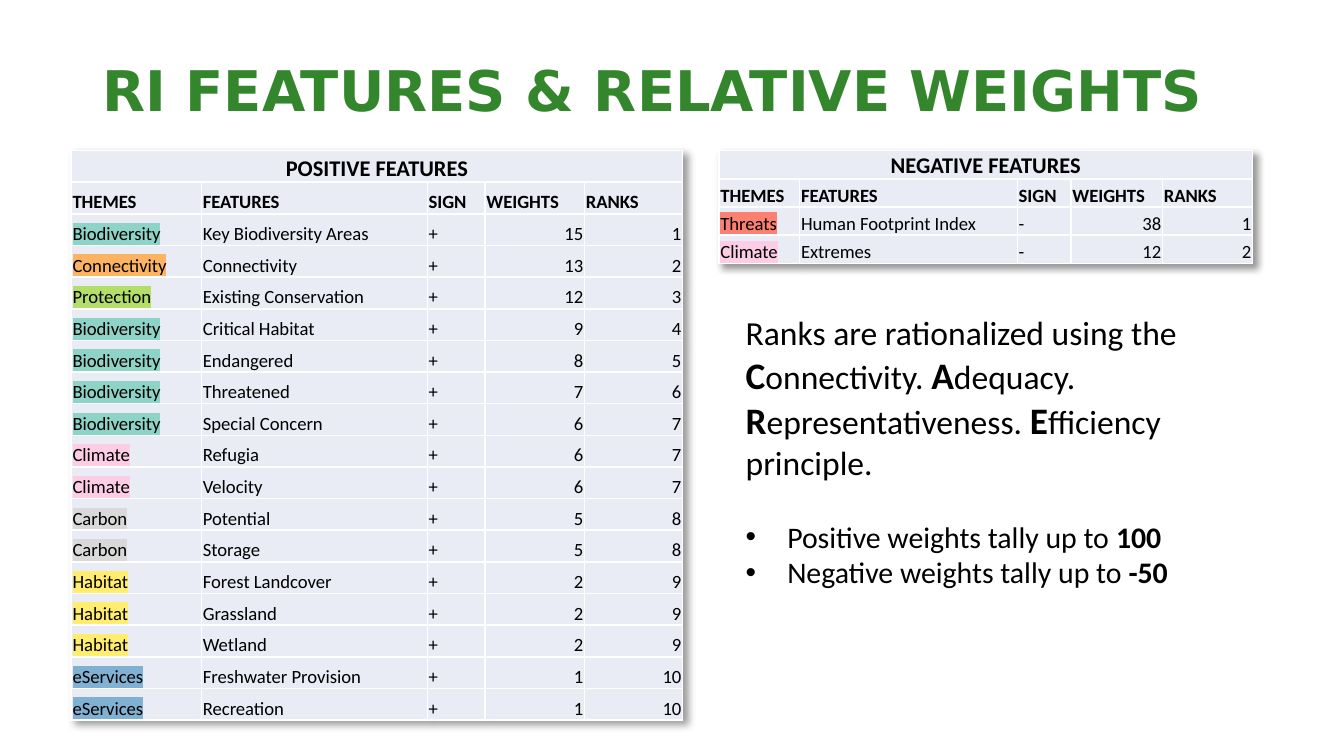
import pptx
import pptx.dml.color
import pptx.enum.text
import pptx.util
from lxml import etree
from pptx.oxml import parse_xml
from pptx.oxml.ns import nsdecls, qn

RGBColor = pptx.dml.color.RGBColor
ALIGN = pptx.enum.text.PP_ALIGN
ANCHOR = pptx.enum.text.MSO_ANCHOR
Inches, Pt = pptx.util.Inches, pptx.util.Pt

SLIDE_W = Inches(10)
SLIDE_H = SLIDE_W * 9 // 16
BLACK = RGBColor(0x00, 0x00, 0x00)
WHITE = RGBColor(0xFF, 0xFF, 0xFF)
GREEN = RGBColor(0x33, 0x86, 0x2B)
CELL_FILL = RGBColor(0xE9, 0xEB, 0xF5)
THEME_COLOURS = {
    "Biodiversity": RGBColor(0x8D, 0xD3, 0xC7),
    "Connectivity": RGBColor(0xFD, 0xB4, 0x62),
    "Protection": RGBColor(0xB3, 0xDE, 0x69),
    "Climate": RGBColor(0xFC, 0xCD, 0xE5),
    "Carbon": RGBColor(0xD9, 0xD9, 0xD9),
    "Habitat": RGBColor(0xFF, 0xED, 0x6F),
    "eServices": RGBColor(0x80, 0xB1, 0xD3),
    "Threats": RGBColor(0xFB, 0x80, 0x72),
}

HEADINGS = ("THEMES", "FEATURES", "SIGN", "WEIGHTS", "RANKS")
POSITIVE = [
    ("Biodiversity", "Key Biodiversity Areas", 15, 1),
    ("Connectivity", "Connectivity", 13, 2),
    ("Protection", "Existing Conservation", 12, 3),
    ("Biodiversity", "Critical Habitat", 9, 4),
    ("Biodiversity", "Endangered", 8, 5),
    ("Biodiversity", "Threatened", 7, 6),
    ("Biodiversity", "Special Concern", 6, 7),
    ("Climate", "Refugia", 6, 7),
    ("Climate", "Velocity", 6, 7),
    ("Carbon", "Potential", 5, 8),
    ("Carbon", "Storage", 5, 8),
    ("Habitat", "Forest Landcover", 2, 9),
    ("Habitat", "Grassland", 2, 9),
    ("Habitat", "Wetland", 2, 9),
    ("eServices", "Freshwater Provision", 1, 10),
    ("eServices", "Recreation", 1, 10),
]
NEGATIVE = [
    ("Threats", "Human Footprint Index", 38, 1),
    ("Climate", "Extremes", 12, 2),
]


def set_font(font, size, bold=False, name="Calibri", colour=BLACK):
    font.size, font.bold, font.name = Pt(size), bold, name
    font.color.rgb = colour


def highlight(run, colour):
    mark = etree.SubElement(run.font._element, qn("a:highlight"))
    etree.SubElement(mark, qn("a:srgbClr"), val=str(colour))


def add_cell_borders(cell):
    properties = cell._tc.get_or_add_tcPr()
    for position, side in enumerate(("lnL", "lnR", "lnT", "lnB")):
        properties.insert(position, parse_xml(
            f'<a:{side} {nsdecls("a")} w="12700"><a:solidFill>'
            f'<a:srgbClr val="{WHITE}"/></a:solidFill></a:{side}>'))


def add_table_shadow(table):
    table._tbl.tblPr.insert(0, parse_xml(
        f'<a:effectLst {nsdecls("a")}><a:outerShdw blurRad="50800" dist="38100" '
        'dir="2700000" algn="tl" rotWithShape="0"><a:srgbClr val="000000">'
        '<a:alpha val="40000"/></a:srgbClr></a:outerShdw></a:effectLst>'))


def fill_cell(cell, text, size=10, bold=False, align=ALIGN.LEFT):
    cell.fill.solid()
    cell.fill.fore_color.rgb = CELL_FILL
    add_cell_borders(cell)
    cell.vertical_anchor = ANCHOR.BOTTOM
    cell.margin_left = cell.margin_right = cell.margin_top = Inches(0.01)
    cell.margin_bottom = 0
    paragraph = cell.text_frame.paragraphs[0]
    paragraph.alignment = align
    set_font(paragraph.font, size, bold)
    if text:
        paragraph.add_run().text = text


def add_feature_table(slide, title, sign, features, left, widths, height):
    """Title row, heading row, then one row per feature, all equally high."""
    row_count = len(features) + 2
    table = slide.shapes.add_table(
        row_count, len(HEADINGS), left, Inches(1.12),
        Inches(sum(widths)), height).table
    table.first_row = table.horz_banding = False
    add_table_shadow(table)
    for column, width in zip(table.columns, widths):
        column.width = Inches(width)
    for row in table.rows:
        row.height = height // row_count

    table.cell(0, 0).merge(table.cell(0, len(HEADINGS) - 1))
    for column, heading in enumerate(HEADINGS):
        fill_cell(table.cell(0, column), "" if column else title, 12, True, ALIGN.CENTER)
        fill_cell(table.cell(1, column), heading, bold=True)
    for row, (theme, feature, weight, rank) in enumerate(features, start=2):
        for column, value in enumerate((theme, feature, sign, weight, rank)):
            align = ALIGN.RIGHT if isinstance(value, int) else ALIGN.LEFT
            fill_cell(table.cell(row, column), str(value), align=align)
        theme_run = table.cell(row, 0).text_frame.paragraphs[0].runs[0]
        highlight(theme_run, THEME_COLOURS[theme])


def add_text_frame(slide, left, top, width, height):
    frame = slide.shapes.add_textbox(left, top, width, height).text_frame
    frame.word_wrap = True
    return frame


def add_title(slide, text):
    frame = add_text_frame(slide, Inches(0.69), Inches(0.43), Inches(8.62), Inches(0.96))
    frame.margin_left = frame.margin_right = Inches(0.07)
    frame.margin_top = frame.margin_bottom = Inches(0.04)
    title = frame.paragraphs[0]
    title.line_spacing = 0.9
    set_font(title.font, 30, True, "DejaVu Sans", GREEN)
    title.add_run().text = text


def add_runs(paragraph, size, *pieces, bold_size=None):
    """Alternate plain and bold pieces, starting with a plain one."""
    set_font(paragraph.font, size)
    for position, piece in enumerate(pieces):
        if piece:
            run = paragraph.add_run()
            run.text = piece
            if position % 2:
                run.font.bold = True
                run.font.size = Pt(bold_size or size)


def add_bullet(paragraph):
    properties = paragraph._p.get_or_add_pPr()
    properties.set("marL", str(Inches(0.31)))
    properties.set("indent", str(-Inches(0.31)))
    mark = parse_xml(f'<a:buChar {nsdecls("a")} char="•"/>')
    properties.find(qn("a:defRPr")).addprevious(mark)
    mark.addprevious(parse_xml(f'<a:buFont {nsdecls("a")} typeface="Arial"/>'))


def add_explanation(slide):
    frame = add_text_frame(slide, Inches(5.45), Inches(2.27), Inches(3.76), Inches(2.46))
    add_runs(frame.paragraphs[0], 18, "Ranks are rationalized using the")
    add_runs(frame.add_paragraph(), 18, "", "C", "onnectivity. ", "A", "dequacy. ",
             "R", "epresentativeness. ", "E", "fficiency principle.", bold_size=20)
    for sign, total, gap in (("Positive", "100", 19.5), ("Negative", "-50", 0)):
        tally = frame.add_paragraph()
        tally.space_before = Pt(gap)
        add_runs(tally, 16, f"{sign} weights tally up to ", total)
        add_bullet(tally)


def main():
    presentation = pptx.Presentation()
    presentation.slide_width, presentation.slide_height = SLIDE_W, SLIDE_H
    slide = presentation.slides.add_slide(presentation.slide_layouts[6])
    add_title(slide, "RI FEATURES & RELATIVE WEIGHTS")
    add_feature_table(slide, "POSITIVE FEATURES", "+", POSITIVE, Inches(0.53),
                      (0.97, 1.68, 0.43, 0.74, 0.73), Inches(4.24))
    add_feature_table(slide, "NEGATIVE FEATURES", "-", NEGATIVE, Inches(5.35),
                      (0.6, 1.62, 0.4, 0.68, 0.67), Inches(0.84))
    add_explanation(slide)
    presentation.save("out.pptx")


if __name__ == "__main__":
    main()
